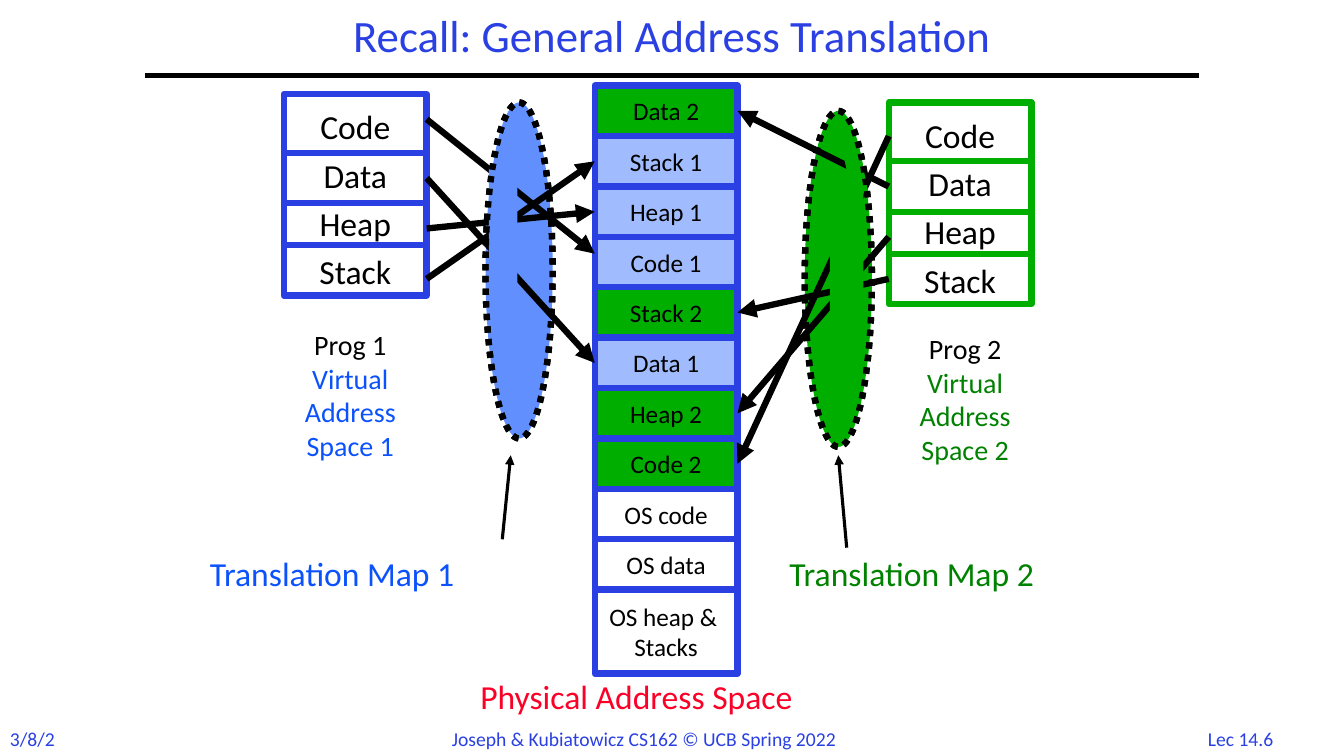
from pptx import Presentation
from pptx.dml.color import RGBColor
from pptx.enum.dml import MSO_LINE
from pptx.enum.shapes import MSO_CONNECTOR, MSO_SHAPE
from pptx.enum.text import MSO_ANCHOR, PP_ALIGN
from pptx.oxml.ns import qn
from pptx.util import Pt
from lxml import etree

PX = 7620
RECT, OVAL = MSO_SHAPE.RECTANGLE, MSO_SHAPE.OVAL
LINE, DOTS = MSO_CONNECTOR.STRAIGHT, MSO_LINE.ROUND_DOT
LEFT, MID = PP_ALIGN.LEFT, PP_ALIGN.CENTER
TOP, CORE = MSO_ANCHOR.TOP, MSO_ANCHOR.MIDDLE

HUE = {
    "black": "000000", "white": "FFFFFF", "blue": "2A40E2", "green": "00AE00",
    "sky": "618FFD", "pale": "A0BCFE", "azure": "0B52FC", "leaf": "008200",
    "red": "FC0128",
}

TITLE = ("Recall: General Address Translation", (200, 10, 1200, 70))
LABELS = [
    ("Lec 14.6", (1412, 859, 130, 40), 14, "blue", MID),
    ("3/8/22", (0, 859, 84, 40), 14, "blue", LEFT),
    ("Joseph & Kubiatowicz CS162 © UCB Spring 2022", (526, 859, 496, 40), 14, "blue", LEFT),
    ("Translation Map 1", (238, 652, 347, 60), 24, "azure", LEFT),
    ("Translation Map 2", (928, 652, 347, 60), 24, "leaf", LEFT),
    ("Physical Address Space", (560, 799, 458, 60), 24, "red", LEFT),
]
PARTS = ["Code", "Data", "Heap", "Stack"]
SPLITS = [70, 130, 180]
PROGS = [
    {"box": (338, 112), "edge": "blue", "ink": "azure", "note": (343, 384),
     "name": ["Prog 1", "Virtual", "Address", "Space 1"],
     "oval": (578, 122), "fill": "sky", "port": 508, "goal": 708,
     "links": [(142, 302), (212, 432), (272, 252), (332, 192)],
     "masks": [((582, 200, 34, 180), 0)],
     "hint": ((598, 642), (608, 542))},
    {"box": (1058, 122), "edge": "green", "ink": "leaf", "note": (1075, 389),
     "name": ["Prog 2", "Virtual", "Address", "Space 2"],
     "oval": (958, 132), "fill": "green", "port": 1058, "goal": 878,
     "links": [(162, 552), (222, 132), (282, 492), (332, 372)],
     "masks": [((988, 222, 40, 190), 0), ((1008, 172, 20, 60), 348.5)],
     "hint": ((1008, 652), (998, 542))},
]
MEMORY = [
    ("Data 2", "green"), ("Stack 1", "pale"), ("Heap 1", "pale"),
    ("Code 1", "pale"), ("Stack 2", "green"), ("Data 1", "pale"),
    ("Heap 2", "green"), ("Code 2", "green"), ("OS code", "white"),
    ("OS data", "white"), ("OS heap & \nStacks", "white"),
]
WIDE, TALL, SLOT, LAST = 170, 240, 60, 100
STACK = (708, 102)

deck = Presentation()
deck.slide_width, deck.slide_height = 1600 * PX, 900 * PX
slide = deck.slides.add_slide(deck.slide_layouts[6])
shapes = slide.shapes


def scale(box):
    return [v * PX for v in box]


def rgb(hue):
    return RGBColor.from_string(HUE[hue])


def apply(item, look):
    for key, value in look.items():
        setattr(item, key, value)


def write(shape, lines, size, hues, align=MID, space=None, anchor=TOP, wrap=False):
    frame = shape.text_frame
    apply(frame, {"word_wrap": wrap, "vertical_anchor": anchor})
    for i, (text, hue) in enumerate(zip(lines, hues)):
        para = frame.paragraphs[0] if i == 0 else frame.add_paragraph()
        apply(para, {"alignment": align, "line_spacing": space})
        run = para.add_run()
        run.text = text
        apply(run.font, {"size": Pt(size), "name": "Calibri"})
        run.font.color.rgb = rgb(hue)


def label(box, *args, **look):
    write(shapes.add_textbox(*scale(box)), *args, **look)


def draw(kind, box, fill=None, edge=None, dash=None, turn=0):
    shape = shapes.add_shape(kind, *scale(box))
    shape.shadow.inherit = False
    shape.rotation = turn
    if fill:
        shape.fill.solid()
        shape.fill.fore_color.rgb = rgb(fill)
    else:
        shape.fill.background()
    if edge:
        shape.line.color.rgb = rgb(edge)
        apply(shape.line, {"width": Pt(4.5), "dash_style": dash})
    else:
        shape.line.fill.background()
    return shape


def link(start, end, hue="black", width=4.5, arrow=True):
    wire = shapes.add_connector(LINE, *scale(start + end))
    wire.line.color.rgb = rgb(hue)
    wire.line.width = Pt(width)
    props = wire._element.spPr
    if arrow:
        etree.SubElement(props.find(qn("a:ln")), qn("a:tailEnd"), type="triangle")
    etree.SubElement(props, qn("a:effectLst"))


label(TITLE[1], [TITLE[0]], 32, ["blue"], space=0.9, anchor=CORE, wrap=True)
link((173, 90), (1427, 90), width=3, arrow=False)
for text, box, size, hue, align in LABELS:
    label(box, [text], size, [hue], align)

for prog in PROGS:
    draw(OVAL, prog["oval"] + (80, 400), prog["fill"], "black", DOTS)
    label(prog["note"] + (148, 174), prog["name"], 20, ["black"] + [prog["ink"]] * 3)
    x, y = prog["box"]
    box = draw(RECT, (x, y, WIDE, TALL), "white", prog["edge"])
    write(box, PARTS, 24, ["black"] * 4, space=1.2, anchor=CORE)
    for gap in SPLITS:
        link((x, y + gap), (x + WIDE, y + gap), prog["edge"], arrow=False)

x, y = STACK
for i, (text, fill) in enumerate(MEMORY):
    high = LAST if i == len(MEMORY) - 1 else SLOT
    cell = draw(RECT, (x, y + i * SLOT, WIDE, high), fill, "blue")
    write(cell, text.split("\n"), 18, ["black"] * 2, anchor=CORE)

for prog in PROGS:
    for start, end in prog["links"]:
        link((prog["port"], start), (prog["goal"], end))
    for box, turn in prog["masks"]:
        draw(RECT, box, prog["fill"], turn=turn)
    draw(OVAL, prog["oval"] + (80, 400), edge="black", dash=DOTS)
    link(*prog["hint"], width=2.25)

deck.save("out.pptx")
